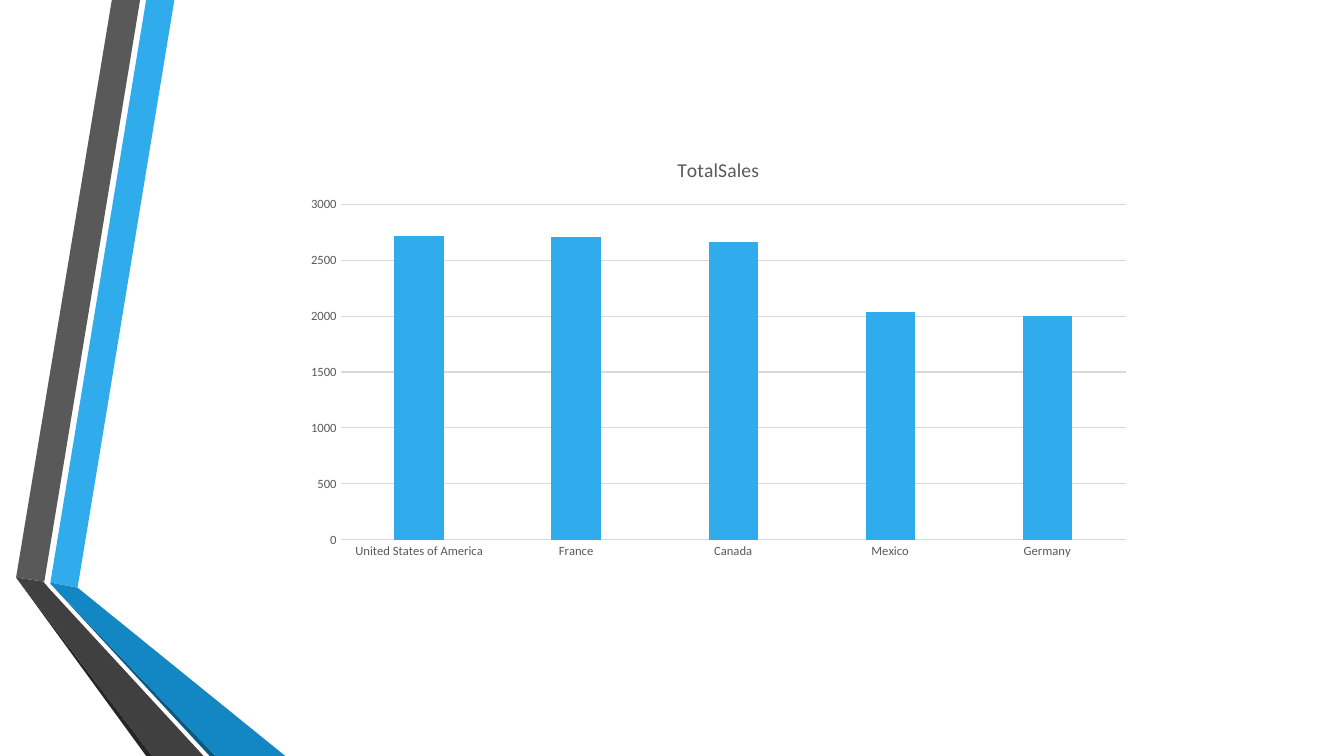
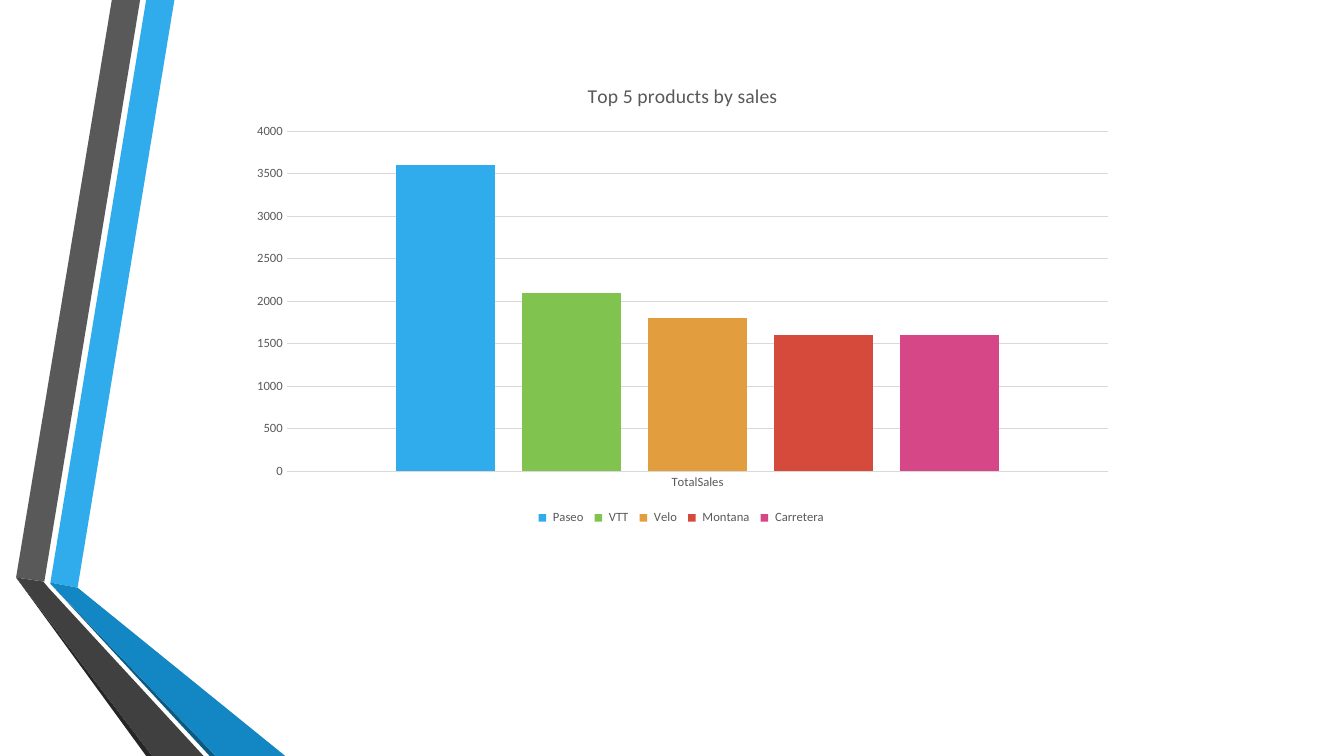
import pptx
import pptx.chart.data
import pptx.dml.color
import pptx.enum.chart
import pptx.util

HUES = {
    "blue": "30ACEC", "sea": "1287C3", "navy": "0C5A82",
    "grey": "595959", "coal": "404040", "black": "262626",
    "rule": "D9D9D9", "green": "80C34F", "gold": "E29D3E",
    "red": "D64A3B", "pink": "D64787",
}
FONT = "Calibri"

deck = pptx.Presentation()
deck.slide_width = pptx.util.Inches(13.33)
deck.slide_height = pptx.util.Inches(7.5)
CELL = deck.slide_height / 9  # the slide is a grid of 16 columns and 9 rows
UNIT = deck.slide_height / 750  # step for the corners of the bands


def tint(name):
    return pptx.dml.color.RGBColor.from_string(HUES[name])


def style(font, size):
    font.name = FONT
    font.size = pptx.util.Pt(size)
    font.bold = False
    font.color.rgb = tint("grey")


# Folded bands, drawn once and kept in the layout
BANDS = [
    ("blue", [(50, 578), (77, 583), (173, 0), (145, 0)]),
    ("grey", [(139, 0), (111, 0), (16, 573), (44, 577)]),
    ("black", [(16, 573), (145, 750), (151, 750)]),
    ("navy", [(50, 579), (208, 750), (214, 750)]),
    ("sea", [(50, 578), (50, 579), (214, 750), (283, 750), (77, 583)]),
    ("coal", [(202, 750), (48, 583), (43, 577), (16, 573), (151, 750)]),
]
layout = deck.slide_layouts[6]
for holder in list(layout.placeholders):
    layout.shapes.element.remove(holder.element)

slides = [deck.slides.add_slide(layout) for _ in range(2)]
bands = []
for hue, points in BANDS:
    path = slides[0].shapes.build_freeform(*points[0], scale=UNIT)
    path.add_line_segments(points[1:], close=True)
    band = path.convert_to_shape()
    band.fill.solid()
    band.fill.fore_color.rgb = tint(hue)
    band.line.fill.background()
    band.shadow.inherit = False
    bands.append(band)
for band in bands:
    layout.shapes.element.append(band.element)

# One column chart a slide: title, grid box, top of axis, categories, series
CHARTS = [
    ("TotalSales", (3.5, 1.65, 10.1, 5.1), 3000,
     ["United States of America", "France", "Canada", "Mexico", "Germany"],
     [("TotalSales", "blue", [2720, 2710, 2660, 2040, 2000])]),
    ("Top 5 products by sales", (2.85, 0.76, 10.55, 5.54), 4000,
     ["TotalSales"],
     [(" Paseo ", "blue", [3600]), (" VTT ", "green", [2100]),
      (" Velo ", "gold", [1800]), (" Montana ", "red", [1600]),
      (" Carretera ", "pink", [1600])]),
]
for slide, (title, box, top, groups, rows) in zip(slides, CHARTS):
    data = pptx.chart.data.CategoryChartData()
    data.categories = groups
    for name, hue, sales in rows:
        data.add_series(name, sales)
    frame = slide.shapes.add_chart(
        pptx.enum.chart.XL_CHART_TYPE.COLUMN_CLUSTERED,
        *[round(side * CELL) for side in box], data)
    chart = frame.chart
    style(chart.font, 9)

    chart.has_title = True
    chart.chart_title.include_in_layout = False
    text = chart.chart_title.text_frame
    text.text = title
    style(text.paragraphs[0].runs[0].font, 14)

    chart.has_legend = len(rows) > 1
    if chart.has_legend:
        chart.legend.position = pptx.enum.chart.XL_LEGEND_POSITION.BOTTOM
        chart.legend.include_in_layout = False
        style(chart.legend.font, 9)

    plot = chart.plots[0]
    plot.gap_width = 219
    plot.overlap = -27
    plot.vary_by_categories = False
    for bars, (name, hue, sales) in zip(plot.series, rows):
        bars.format.fill.solid()
        bars.format.fill.fore_color.rgb = tint(hue)

    across, up = chart.category_axis, chart.value_axis
    for axis in (across, up):
        axis.major_tick_mark = pptx.enum.chart.XL_TICK_MARK.NONE
        axis.minor_tick_mark = pptx.enum.chart.XL_TICK_MARK.NONE
        style(axis.tick_labels.font, 9)
    up.minimum_scale = 0
    up.maximum_scale = top
    up.major_unit = 500
    up.has_major_gridlines = True
    up.format.line.fill.background()
    for line in (across.format.line, up.major_gridlines.format.line):
        line.color.rgb = tint("rule")
        line.width = pptx.util.Pt(0.75)

deck.save("out.pptx")
